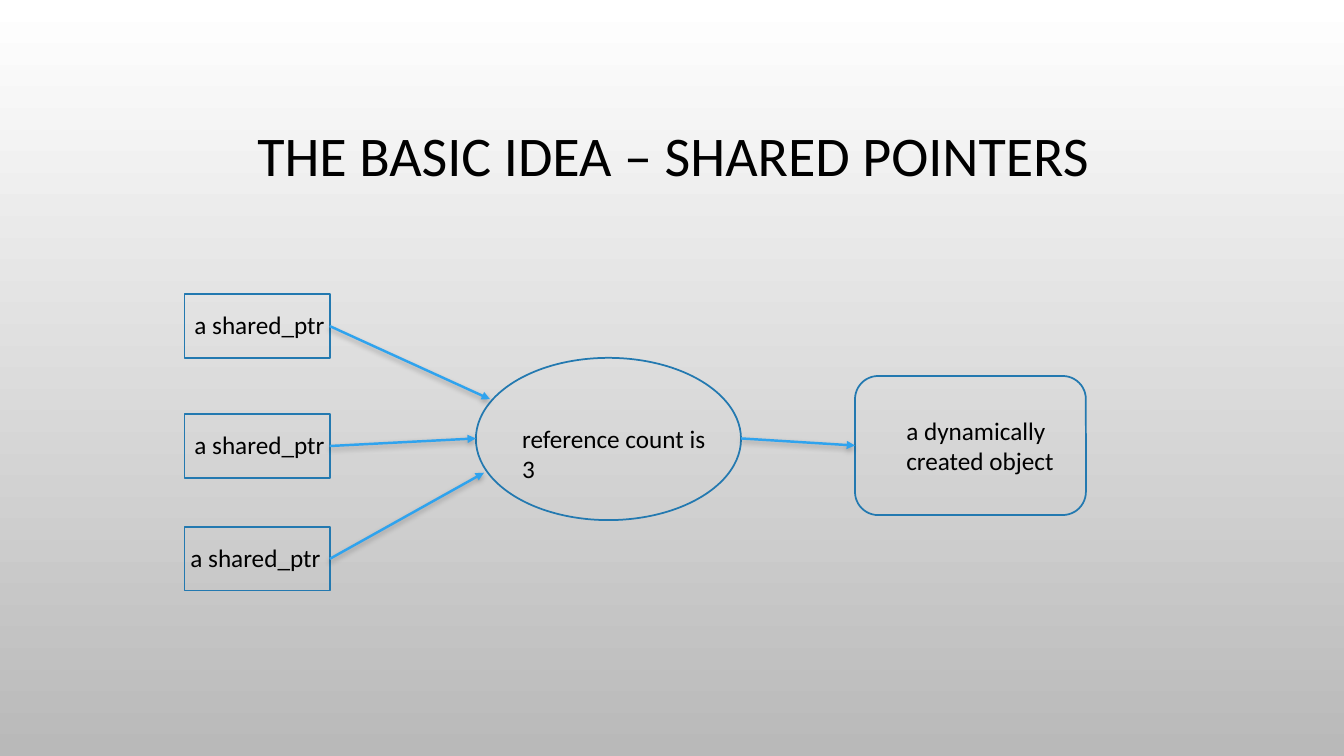
from lxml import etree
from pptx import Presentation
from pptx.dml.color import RGBColor
from pptx.enum.shapes import MSO_CONNECTOR, MSO_SHAPE
from pptx.enum.text import MSO_ANCHOR, PP_ALIGN
from pptx.oxml.ns import qn
from pptx.util import Inches, Pt

RECT, OVAL, ROUNDED = MSO_SHAPE.RECTANGLE, MSO_SHAPE.OVAL, MSO_SHAPE.ROUNDED_RECTANGLE
STRAIGHT = MSO_CONNECTOR.STRAIGHT
MIDDLE, CENTER = MSO_ANCHOR.MIDDLE, PP_ALIGN.CENTER

FONT = "Calibri"
COLORS = {
    "text": "000000",
    "outline": "2379B0",
    "arrow": "2FA3EE",
    "shadow": "000000",
    "bg_top": "FFFFFF",
    "bg_bottom": "B9B9B9",
}


def rgb(name):
    """Return the named palette colour."""
    return RGBColor.from_string(COLORS[name])


def add_run(p, text, size):
    """Add one formatted run to a paragraph."""
    r = p.add_run()
    r.text = text
    r.font.name = FONT
    r.font.size = Pt(size)
    r.font.color.rgb = rgb("text")


def set_background(s):
    """Fill the slide with a vertical gradient."""
    fill = s.background.fill
    fill.gradient()
    fill.gradient_angle = 270
    for stop, name in zip(fill.gradient_stops, ("bg_top", "bg_bottom")):
        stop.color.rgb = rgb(name)


def set_title(s, text):
    """Place and format the title placeholder."""
    sp = s.shapes.title
    sp.left, sp.top = Inches(1.01), Inches(0.7)
    sp.width, sp.height = Inches(11.33), Inches(1.75)
    tf = sp.text_frame
    tf.vertical_anchor = MIDDLE
    p = tf.paragraphs[0]
    p.alignment = CENTER
    p.line_spacing = 0.9
    add_run(p, text, 40)


def add_outline(s, kind, left, top, width, height):
    """Add an unfilled outlined shape."""
    sp = s.shapes.add_shape(kind, Inches(left), Inches(top), Inches(width), Inches(height))
    sp.shadow.inherit = False
    sp.fill.background()
    sp.line.color.rgb = rgb("outline")
    sp.line.width = Pt(1.25)


def add_label(s, left, top, width, height, *lines):
    """Add a text box with one paragraph per line."""
    sp = s.shapes.add_textbox(Inches(left), Inches(top), Inches(width), Inches(height))
    tf = sp.text_frame
    tf.word_wrap = True
    for i, line in enumerate(lines):
        p = tf.add_paragraph() if i else tf.paragraphs[0]
        add_run(p, line, 18)


def add_arrow(s, x1, y1, x2, y2):
    """Add a straight arrow with a soft shadow below it."""
    sp = s.shapes.add_connector(STRAIGHT, Inches(x1), Inches(y1), Inches(x2), Inches(y2))
    sp.line.color.rgb = rgb("arrow")
    sp.line.width = Pt(1.75)
    etree.SubElement(sp.line._ln, qn("a:tailEnd"), type="triangle")
    effects = etree.SubElement(sp._element.spPr, qn("a:effectLst"))
    shadow = etree.SubElement(effects, qn("a:outerShdw"), blurRad=str(Pt(4)),
                              dist=str(Pt(2)), dir="5400000", rotWithShape="0")
    color = etree.SubElement(shadow, qn("a:srgbClr"), val=COLORS["shadow"])
    etree.SubElement(color, qn("a:alpha"), val="28000")


def main():
    """Build the shared pointer slide."""
    prs = Presentation()
    prs.slide_width, prs.slide_height = Inches(13.33), Inches(7.5)
    s = prs.slides.add_slide(prs.slide_layouts[5])
    set_background(s)
    set_title(s, "THE BASIC IDEA – SHARED POINTERS")

    add_outline(s, ROUNDED, 8.48, 3.73, 2.29, 1.38)
    add_outline(s, OVAL, 4.72, 3.55, 2.63, 1.61)

    # Pointer box top, label left, arrow end
    pointers = [
        (2.92, 1.83, (4.86, 3.96)),
        (4.11, 1.83, (4.72, 4.35)),
        (5.23, 1.79, (4.8, 4.69)),
    ]
    for top, label_left, end in pointers:
        add_outline(s, RECT, 1.83, top, 1.44, 0.63)
        add_arrow(s, 3.27, top + 0.315, *end)
        add_label(s, label_left, top + 0.1, 1.59, 0.4, "a shared_ptr")
    add_arrow(s, 7.35, 4.35, 8.48, 4.42)

    add_label(s, 8.89, 4.07, 1.75, 0.71, "a dynamically ", "created object")
    add_label(s, 5.08, 4.15, 2.17, 0.4, "reference count is 3")

    prs.save("out.pptx")


main()
